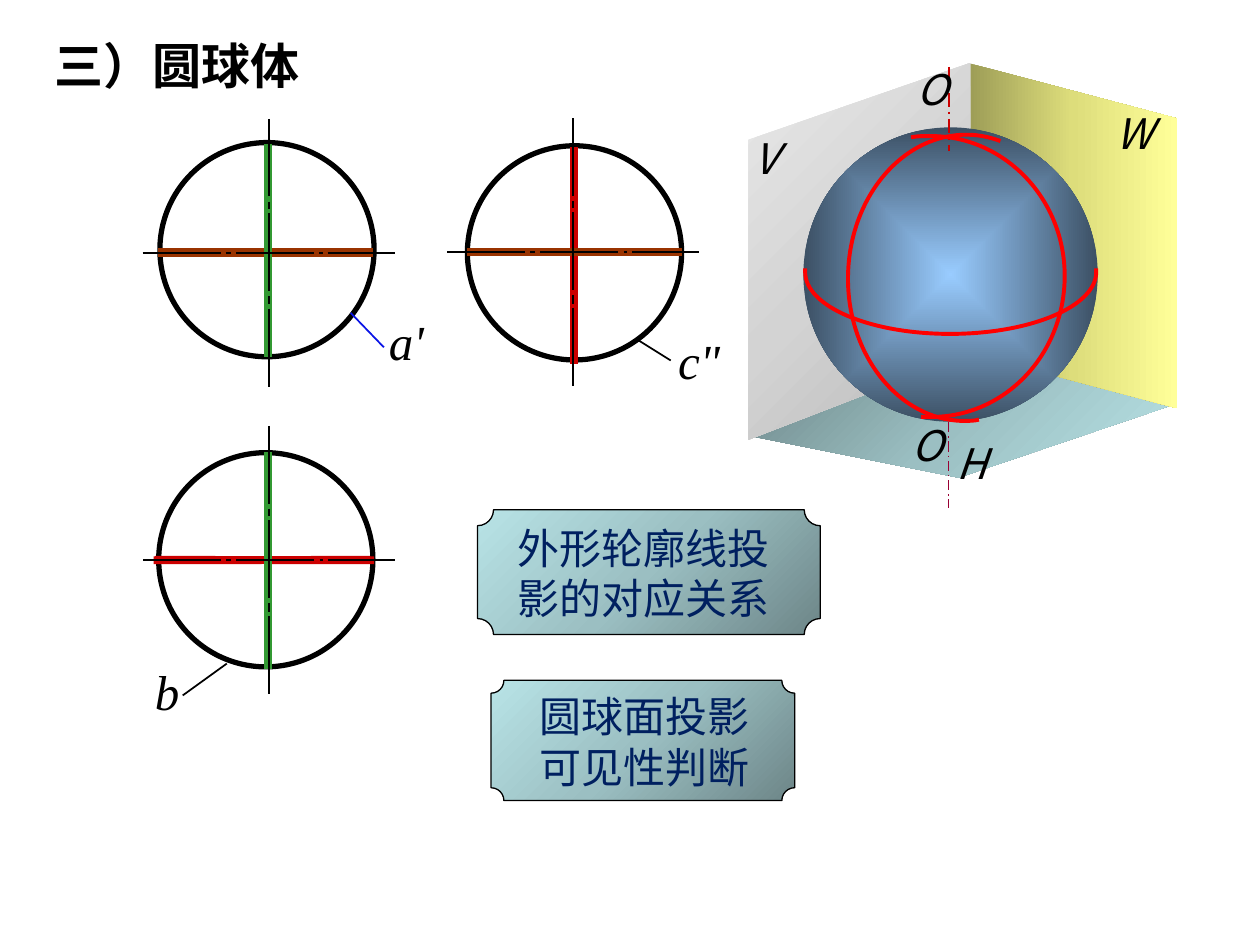
import pptx
import pptx.util
import pptx.dml.color
import pptx.enum.dml
import pptx.enum.shapes
import pptx.enum.text
import pptx.oxml.ns
from lxml import etree

Pt = pptx.util.Pt
SHAPE = pptx.enum.shapes.MSO_SHAPE
SERIF, SANS = "Times New Roman", "Noto Sans CJK SC"
TEAL = ["6D8688", "9BBFC2", "B8E3E6"]

# Left, top, width, height, corner
PLAQUES = [(272.9, 291.3, 195.8, 71.3, 0.128), (280.6, 388.8, 173.5, 68.7, 0.107)]
NOTES = [
    (288.7, 295, 175.7, ["外形轮廓线投", "影的对应关系"]),
    (301, 391.2, 149, ["圆球面投影", "可见性判断"]),
]
TITLE = "三）圆球体"

VIEWS = [(90.7, 258.7), (267.1, 83.3), (91.4, 81.5)]
VIEW_SIZE = 122.4
LEADERS = [
    (200.4, 178.8, 219.4, 198.5, "0A14E6"),
    (129.6, 379.2, 104.4, 397.4, "000000"),
    (363.6, 193.7, 383.3, 206, "000000"),
]
MARKS = [(215.1, 174.4, 34.6, "a'"), (81.4, 374.4, 28.8, "b"), (380.4, 185.3, 38.9, 'c"')]
RED, BROWN, GREEN = "CC0000", "993300", "339933"
TRACES = [
    (88.6, 319.9, 213.8, 320.2, RED),
    (328, 84.2, 328, 205.2, RED),
    (90, 144.2, 213.1, 144.2, BROWN),
    (153.2, 258.5, 153.2, 381.6, GREEN),
    (87.8, 320.2, 211.7, 319.9, RED),
    (328, 87.8, 328, 208.1, RED),
    (90, 144.5, 213.1, 144.5, BROWN),
    (267.1, 144, 389.5, 144, BROWN),
    (153.2, 82.1, 153.2, 203.8, GREEN),
    (153.2, 259.2, 153.2, 382.3, GREEN),
]

# Centre lines: dashes measured from each centre
CENTRES = [(153.5, 144.5), (153.8, 320), (327.5, 144.1)]
ACROSS = [(-72, -27.4), (-24.5, -21.6), (-18.7, 25.9), (28.8, 31), (33.8, 72)]
DOWN = [(-76.6, -32.2), (-29.3, -25.2), (-22.8, 21.8), (24.7, 29.5), (31.9, 76.5)]

# Corners, colours, linear angle or focus rectangle
PLANES = [
    ([(555.8, 202.3), (428.4, 249.1), (547.9, 272.9), (671, 231.1)], TEAL, 45),
    ([(553, 36), (553, 201.6), (672.5, 233.3), (672.5, 67.7)],
     ["9C9C56", "DDDD7B", "FFFF99"], 0),
    ([(427.7, 79.9), (554.4, 36), (554.4, 202.3), (427.7, 251.3)],
     ["B9B9B9", "D3D3D3", "E9E9E9"], ("circle", 100, 100, 0, 0)),
]
SPHERE = (459.1, 72.8, 168.2, 168.2)
AXES = [(542.2, 38.2, 542.2, 86.4, RED, 1), (542.2, 241.2, 542.2, 290.2, "990033", 0.75)]
NAMES = [
    (423.4, 72, 29.5, "V"),
    (630.2, 57.6, 36.7, "W"),
    (516.7, 32.7, 33.1, "O"),
    (513.8, 236.2, 33.1, "O"),
    (539.3, 246.2, 31.7, "H"),
]
# Start point, then two handles and an end point for each curve
ARCS = [
    [(460.1, 153.4), (460.1, 154.1), (460.1, 154.8), (460.1, 155.5),
     (460.1, 175), (496.8, 190.8), (542.9, 190.8),
     (589, 190.8), (626.4, 175), (626.4, 155.5),
     (626.4, 154.8), (626.4, 154.1), (626.4, 153.4)],
    [(526.3, 238.3), (528.5, 238.3), (529.9, 238.3), (532.1, 238.3),
     (574.6, 238.3), (608.4, 202.3), (608.4, 157.7),
     (608.4, 113), (573.1, 77), (530.6, 77.8),
     (527, 77.8), (524.2, 77.8), (520.6, 78.5)],
    [(571.7, 80.6), (565.9, 78.5), (559.4, 77), (553, 77),
     (516.2, 76.3), (485.3, 112.3), (484.6, 157.7),
     (483.8, 202.3), (513.4, 239.8), (550.1, 240.5),
     (553.7, 240.5), (556.6, 240.5), (559.4, 239.8)],
]

deck = pptx.Presentation()
deck.slide_width, deck.slide_height = Pt(720), Pt(540)
slide = deck.slides.add_slide(deck.slide_layouts[6])
shapes = slide.shapes


def rgb(code):
    return pptx.dml.color.RGBColor.from_string(code)


def tag(name):
    return pptx.oxml.ns.qn("a:" + name)


def sub(node, name, **attrs):
    """Append a DrawingML child element."""
    return etree.SubElement(node, tag(name), attrs)


def shade(shape, hues, way):
    """Fill with evenly spaced colours; way is an angle or (kind, l, t, r, b)."""
    shape.fill.gradient()
    grad = shape._element.spPr.find(tag("gradFill"))
    grad.clear()
    stops = sub(grad, "gsLst")
    for i, hue in enumerate(hues):
        stop = sub(stops, "gs", pos=str(100000 * i // (len(hues) - 1)))
        sub(stop, "srgbClr", val=hue)
    if isinstance(way, tuple):
        focus = sub(grad, "path", path=way[0])
        sides = {k: str(v * 1000) for k, v in zip("ltrb", way[1:])}
        sub(focus, "fillToRect", **sides)
    else:
        sub(grad, "lin", ang=str(way * 60000), scaled="0")


def edge(shape, hue=None, width=1):
    shape.shadow.inherit = False
    if hue:
        shape.line.color.rgb = rgb(hue)
        shape.line.width = Pt(width)
    else:
        shape.line.fill.background()


def form(kind, box):
    return shapes.add_shape(kind, *map(Pt, box))


def line(x1, y1, x2, y2, hue="000000", width=1.25):
    rule = shapes.add_connector(
        pptx.enum.shapes.MSO_CONNECTOR.STRAIGHT, Pt(x1), Pt(y1), Pt(x2), Pt(y2))
    rule.line.color.rgb = rgb(hue)
    rule.line.width = Pt(width)
    sub(rule._element.spPr, "effectLst")
    return rule


def trail(dots, close):
    """Build a freeform through the dots."""
    spots = [(Pt(x), Pt(y)) for x, y in dots]
    pen = shapes.build_freeform(*spots[0], scale=1.0)
    pen.add_line_segments(spots[1:], close=close)
    return pen.convert_to_shape()


def bend(shape):
    """Turn each three straight segments into one cubic curve."""
    legs = list(shape._element.iter(tag("lnTo")))
    for i in range(0, len(legs), 3):
        curve = etree.Element(tag("cubicBezTo"))
        legs[i].addprevious(curve)
        for leg in legs[i:i + 3]:
            curve.append(leg[0])
            leg.getparent().remove(leg)


def text(box, rows, size, face, hue="000000", wrap=False, bold=False, slant=False):
    frame = shapes.add_textbox(*map(Pt, box)).text_frame
    frame.word_wrap = wrap
    frame.auto_size = pptx.enum.text.MSO_AUTO_SIZE.SHAPE_TO_FIT_TEXT
    for i, row in enumerate(rows):
        para = frame.add_paragraph() if i else frame.paragraphs[0]
        run = para.add_run()
        run.text = row
        font = run.font
        font.size, font.name, font.bold, font.italic = Pt(size), face, bold, slant
        font.color.rgb = rgb(hue)
        sub(run._r.get_or_add_rPr(), "ea", typeface=SANS)


for *box, notch in PLAQUES:
    plaque = form(SHAPE.PLAQUE, box)
    plaque.adjustments[0] = notch
    shade(plaque, TEAL, 225)
    edge(plaque, "000000", 0.75)
for x, y, wide, rows in NOTES:
    text((x, y, wide, 65.5), rows, 24, SERIF, "002060", wrap=True)

for x, y in VIEWS:
    ring = form(SHAPE.OVAL, (x, y, VIEW_SIZE, VIEW_SIZE))
    ring.fill.background()
    edge(ring, "000000", 3)
for leader in LEADERS:
    line(*leader, 1)
for x, y, wide, mark in MARKS:
    text((x, y, wide, 41), [mark], 28, SERIF, slant=True)
for stroke in TRACES:
    line(*stroke, 4.5)
for x, y in CENTRES:
    for a, b in ACROSS:
        line(x + a, y, x + b, y)
    for a, b in DOWN:
        line(x, y + a, x, y + b)
text((24.2, 16.9, 239.8, 41), [TITLE], 28, SANS, wrap=True, bold=True)

for dots, hues, way in PLANES:
    plane = trail(dots, True)
    shade(plane, hues, way)
    edge(plane)
ball = form(SHAPE.OVAL, SPHERE)
shade(ball, ["99CCFF", "3C5064"], ("shape", 50, 50, 50, 50))
edge(ball)
for axis in AXES:
    line(*axis).line.dash_style = pptx.enum.dml.MSO_LINE.LONG_DASH_DOT
for x, y, wide, name in NAMES:
    text((x, y, wide, 36.7), [name], 24, SANS, slant=True)
for knots in ARCS:
    arc = trail(knots, False)
    bend(arc)
    arc.fill.background()
    edge(arc, "FF0000", 2.25)

deck.save("out.pptx")
